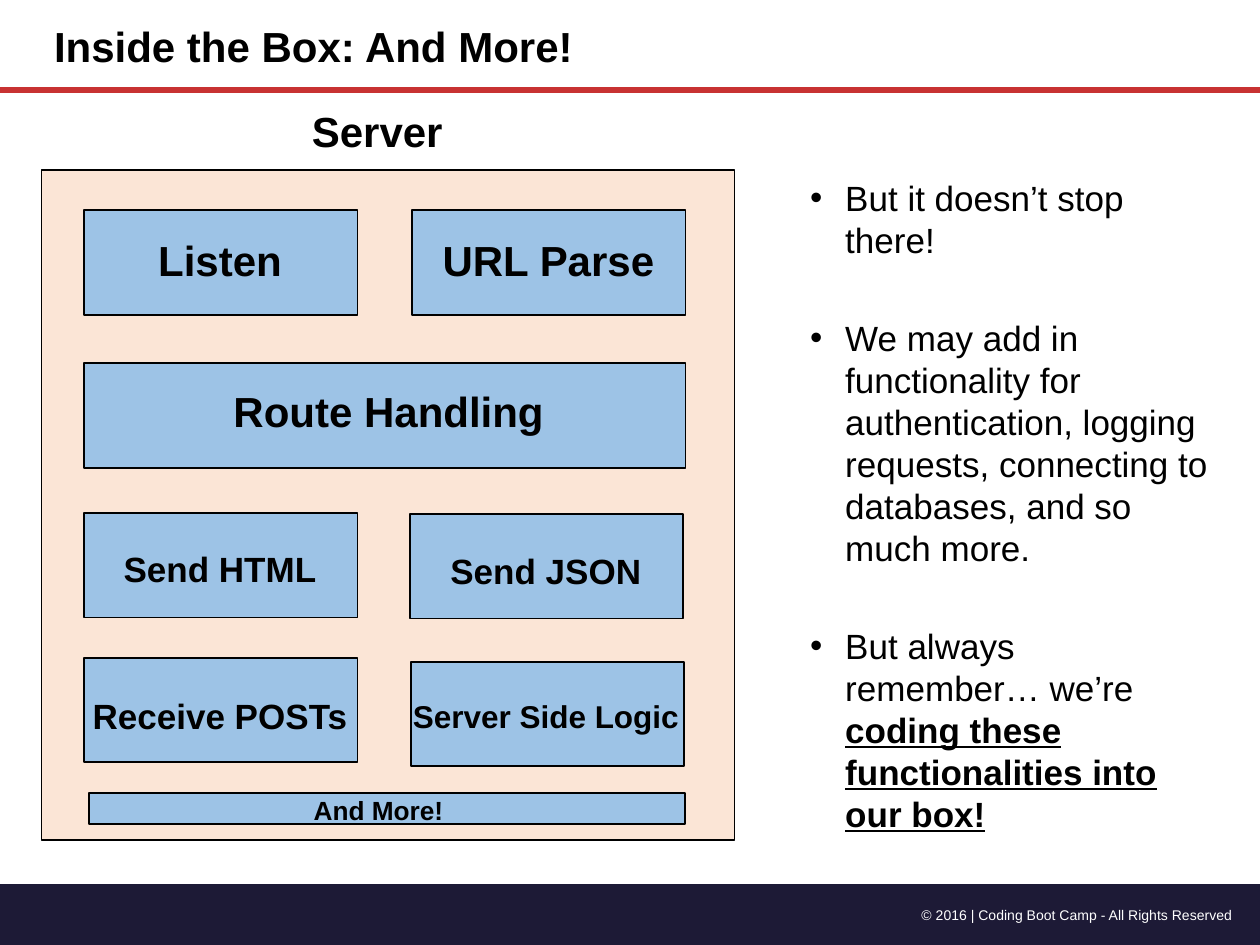
import pptx
import pptx.util
import pptx.dml.color
import pptx.enum.shapes
import pptx.enum.text
import pptx.oxml.ns
import lxml.etree

Cm = pptx.util.Cm
Pt = pptx.util.Pt
qn = pptx.oxml.ns.qn
SHAPES = pptx.enum.shapes.MSO_SHAPE
ALIGN = pptx.enum.text.PP_ALIGN
COLORS = {
    "text": "000000",
    "paper": "FFFFFF",
    "rule": "C83232",
    "footer": "1D1A36",
    "server": "FBE5D6",
    "module": "9DC3E6",
}


def rgb(name):
    return pptx.dml.color.RGBColor.from_string(COLORS[name])


def write_text(frame, text, size=20, color="text", bold=False, align=ALIGN.LEFT,
               emphasis="", bullet=False, before=0, first=True):
    frame.word_wrap = True
    paragraph = frame.paragraphs[0] if first else frame.add_paragraph()
    paragraph.alignment = align
    paragraph.space_before = Pt(before)
    for part, strong in ((text, False), (emphasis, True)):
        if part:
            run = paragraph.add_run()
            run.text = part
            run.font.name = "Arial"
            run.font.size = Pt(size)
            run.font.bold = bold or strong
            run.font.underline = strong
            run.font.color.rgb = rgb(color)
    if bullet:
        properties = paragraph._p.get_or_add_pPr()
        properties.set("marL", str(Cm(0.71)))
        properties.set("indent", str(-Cm(0.71)))
        lxml.etree.SubElement(properties, qn("a:buFont")).set("typeface", "Arial")
        lxml.etree.SubElement(properties, qn("a:buChar")).set("char", "•")


def add_box(slide, bounds, fill, kind=SHAPES.RECTANGLE, outlined=True):
    shape = slide.shapes.add_shape(kind, *map(Cm, bounds))
    shape.shadow.inherit = False
    shape.fill.solid()
    shape.fill.fore_color.rgb = rgb(fill)
    if outlined:
        shape.line.color.rgb = rgb("text")
        shape.line.width = Pt(1)
    else:
        shape.line.fill.background()


presentation = pptx.Presentation()
presentation.slide_width = Cm(25.4)
presentation.slide_height = Cm(19.05)
slide = presentation.slides.add_slide(presentation.slide_layouts[6])
slide.background.fill.solid()
slide.background.fill.fore_color.rgb = rgb("paper")

add_box(slide, (0, 17.83, 25.4, 1.22), "footer",
        kind=SHAPES.FLOWCHART_PROCESS, outlined=False)
rule = slide.shapes.add_connector(
    pptx.enum.shapes.MSO_CONNECTOR.STRAIGHT, Cm(0), Cm(1.82), Cm(25.4), Cm(1.82))
rule.line.color.rgb = rgb("rule")
rule.line.width = Pt(3.25)
lxml.etree.SubElement(rule._element.spPr, qn("a:effectLst"))

footer = slide.shapes.add_textbox(Cm(17.35), Cm(18.16), Cm(7.75), Cm(0.61))
write_text(footer.text_frame, "© 2016 | Coding Boot Camp - All Rights Reserved",
           size=8, color="paper", align=ALIGN.RIGHT)
title = slide.shapes.add_textbox(Cm(0.84), Cm(0.28), Cm(14.6), Cm(1.27))
write_text(title.text_frame, "Inside the Box: And More!", size=24, bold=True)

add_box(slide, (0.84, 3.43, 13.97, 13.51), "server")
heading = slide.shapes.add_textbox(Cm(2.87), Cm(2.01), Cm(9.47), Cm(1.42))
write_text(heading.text_frame, "Server", size=24, bold=True, align=ALIGN.CENTER)

modules = [
    ("Listen", 24, (1.7, 4.24, 5.51, 2.11), (-0.3, 4.6, 9.47, 1.42)),
    ("URL Parse", 24, (8.31, 4.24, 5.51, 2.11), (6.32, 4.6, 9.47, 1.42)),
    ("Route Handling", 24, (1.7, 7.32, 12.12, 2.11), (3.1, 7.65, 9.47, 1.42)),
    ("Send HTML", 20, (1.7, 10.34, 5.51, 2.11), (-0.3, 10.92, 9.47, 1.42)),
    ("Send JSON", 20, (8.26, 10.36, 5.51, 2.11), (6.27, 10.95, 9.47, 1.42)),
    ("Receive POSTs", 20, (1.7, 13.26, 5.51, 2.11), (-0.3, 13.87, 9.47, 1.42)),
    ("Server Side Logic", 18, (8.28, 13.34, 5.51, 2.11), (6.27, 13.92, 9.47, 1.42)),
    ("And More!", 15, (1.8, 15.98, 12.01, 0.64), (-2.72, 15.88, 20.7, 0.43)),
]
for name, size, box_bounds, label_bounds in modules:
    add_box(slide, box_bounds, "module")
    label = slide.shapes.add_textbox(*map(Cm, label_bounds))
    write_text(label.text_frame, name, size=size, bold=True, align=ALIGN.CENTER)

notes = [
    ("But it doesn’t stop there!", ""),
    ("We may add in functionality for authentication, logging requests, "
     "connecting to databases, and so much more.", ""),
    ("But always remember… we’re ", "coding these functionalities into our box!"),
]
body = slide.shapes.add_textbox(Cm(16.08), Cm(3.43), Cm(8.66), Cm(13.51))
for index, (text, emphasis) in enumerate(notes):
    write_text(body.text_frame, text, emphasis=emphasis, bullet=True,
               before=32 if index else 0, first=index == 0)

presentation.save("out.pptx")
